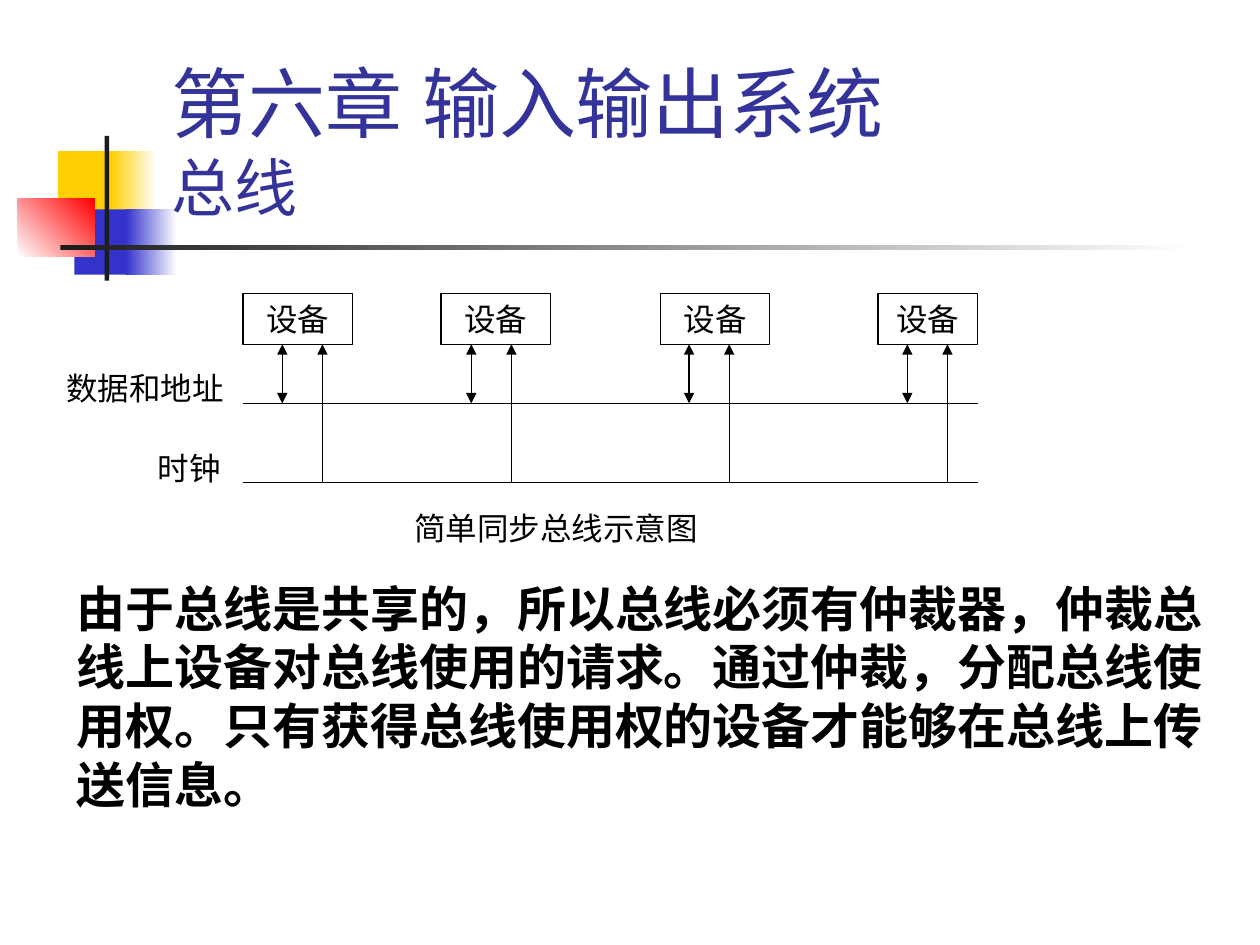
from dataclasses import dataclass

from lxml.etree import SubElement
from pptx import Presentation
from pptx.dml.color import RGBColor as RGB
from pptx.enum.shapes import MSO_CONNECTOR as Line, MSO_SHAPE as Shape
from pptx.enum.text import MSO_ANCHOR as Anchor, MSO_AUTO_SIZE as AutoSize, PP_ALIGN as Align
from pptx.oxml.ns import qn
from pptx.util import Cm, Pt


@dataclass(frozen=True)
class Theme:
    font: str = "Lato"
    ink: RGB = RGB(0, 0, 0)
    title: RGB = RGB(0x33, 0x33, 0x99)
    yellow: RGB = RGB(0xFF, 0xCF, 0x01)
    blue: RGB = RGB(0x33, 0x33, 0xCC)
    red: RGB = RGB(0xFF, 0, 0)
    bar: RGB = RGB(0x1C, 0x1C, 0x1C)
    white: RGB = RGB(0xFF, 0xFF, 0xFF)
    chapter_size: int = 44
    section_size: int = 36
    body_size: int = 28
    label_size: int = 18
    line_width: float = 0.75


theme = Theme()


def add_run(paragraph, text, size, color=theme.ink, bold=False):
    """Add a run with the theme font for both Latin and East Asian text."""
    run = paragraph.add_run()
    run.text = text
    run.font.size = Pt(size)
    run.font.bold = bold
    run.font.color.rgb = color
    run.font.name = theme.font
    SubElement(run.font._element, qn("a:ea"), typeface=theme.font)


def add_line(x1, y1, x2, y2, arrow_ends=()):
    """Draw a thin line; arrow_ends may hold headEnd and tailEnd, in that order."""
    line = slide.shapes.add_connector(Line.STRAIGHT, Cm(x1), Cm(y1), Cm(x2), Cm(y2))
    line.line.color.rgb = theme.ink
    line.line.width = Pt(theme.line_width)
    for end in arrow_ends:
        SubElement(line.line._get_or_add_ln(), qn(f"a:{end}"), type="triangle")
    SubElement(line._element.spPr, qn("a:effectLst"))


deck = Presentation()
deck.slide_width, deck.slide_height = Cm(25.4), Cm(19.05)
slide = deck.slides.add_slide(deck.slide_layouts[5])

# Corner ornament: left, top, width, height, colours from start to end, angle
ornament = [
    (1.17, 3.05, 1.22, 1.32, [theme.yellow], 0),
    (2.24, 3.05, 0.91, 1.32, [theme.yellow, theme.white], 0),
    (1.5, 4.22, 1.17, 1.32, [theme.blue], 0),
    (2.54, 4.22, 1.02, 1.32, [theme.blue, theme.white], 0),
    (0.36, 4.01, 1.55, 1.17, [theme.white, theme.red], 45),
    (2.11, 2.74, 0.09, 2.92, [theme.bar], 0),
    (1.22, 4.94, 22.86, 0.1, [theme.bar, theme.white], 0),
]
for left, top, width, height, colors, angle in ornament:
    block = slide.shapes.add_shape(Shape.RECTANGLE, Cm(left), Cm(top), Cm(width), Cm(height))
    block.shadow.inherit = False
    block.line.fill.background()
    if len(colors) == 1:
        block.fill.solid()
        block.fill.fore_color.rgb = colors[0]
    else:
        block.fill.gradient()
        block.fill.gradient_angle = angle
        for stop, color in zip(block.fill.gradient_stops, colors):
            stop.color.rgb = color

# Title, in front of the ornament
title = slide.shapes.title
slide.shapes._spTree.append(title._element)
title.left, title.top, title.width, title.height = Cm(3.2), Cm(0.58), Cm(21.64), Cm(4.06)
title.text_frame.auto_size = AutoSize.NONE
title.text_frame.vertical_anchor = Anchor.BOTTOM
heading = title.text_frame.paragraphs[0]
heading.alignment = Align.LEFT
add_run(heading, "第六章 输入输出系统", theme.chapter_size, theme.title)
heading.add_line_break()
add_run(heading, "总线", theme.section_size, theme.title)

# Bus diagram
bus_left, bus_right = 4.9, 19.71
data_y, clock_y = 8.13, 9.73
device_top, device_height = 5.92, 1.02
device_bottom = device_top + device_height
clock_offset = 0.81

for y in (data_y, clock_y):
    add_line(bus_left, y, bus_right, y)

# Each device: left, width, position of its data arrow
for left, width, data_x in [(4.9, 2.21, 5.69), (8.89, 2.21, 9.5),
                            (13.31, 2.21, 13.89), (17.7, 2.01, 18.29)]:
    device = slide.shapes.add_shape(
        Shape.RECTANGLE, Cm(left), Cm(device_top), Cm(width), Cm(device_height))
    device.shadow.inherit = False
    device.fill.background()
    device.line.color.rgb = theme.ink
    device.line.width = Pt(theme.line_width)
    name = device.text_frame.paragraphs[0]
    name.alignment = Align.CENTER
    add_run(name, "设备", theme.label_size)
    add_line(data_x, device_bottom, data_x, data_y, ("headEnd", "tailEnd"))
    clock_x = data_x + clock_offset
    add_line(clock_x, clock_y, clock_x, device_bottom, ("tailEnd",))

# Bus labels, caption and explanation
explanation = ("由于总线是共享的，所以总线必须有仲裁器，仲裁总线上设备对总线使用的请求。"
               "通过仲裁，分配总线使用权。只有获得总线使用权的设备才能够在总线上传送信息。")
texts = [
    (1.09, 7.32, 4.19, 1.02, "数据和地址", Align.LEFT, theme.label_size, False),
    (1.5, 8.92, 3.2, 1.02, "时钟", Align.RIGHT, theme.label_size, False),
    (8.1, 10.13, 9.19, 1.02, "简单同步总线示意图", Align.LEFT, theme.label_size, False),
    (1.3, 11.53, 23.39, 5, explanation, Align.LEFT, theme.body_size, True),
]
for left, top, width, height, text, alignment, size, bold in texts:
    frame = slide.shapes.add_textbox(Cm(left), Cm(top), Cm(width), Cm(height)).text_frame
    frame.word_wrap = True
    frame.paragraphs[0].alignment = alignment
    add_run(frame.paragraphs[0], text, size, bold=bold)

deck.save("out.pptx")
